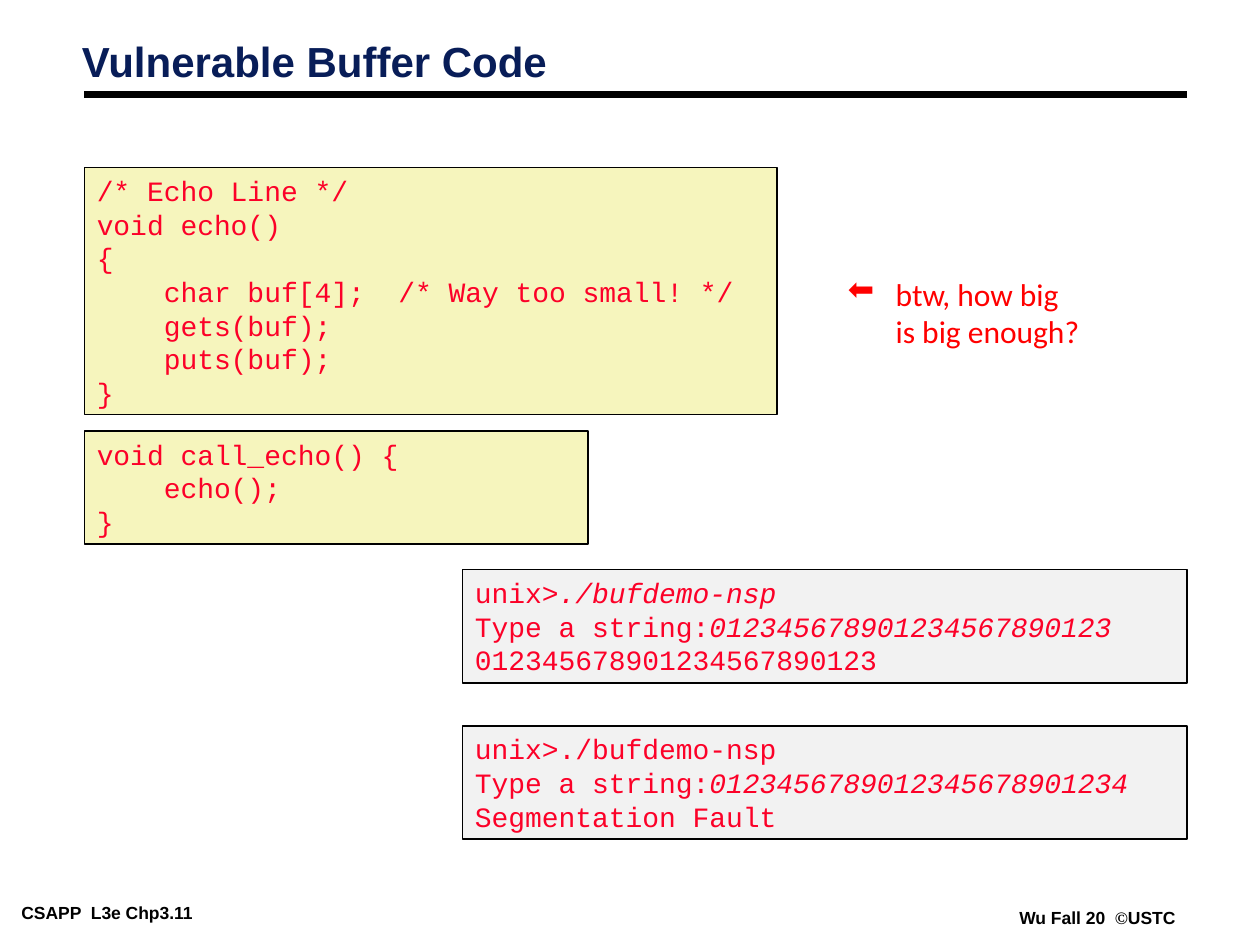
import pptx
import pptx.util
import pptx.dml.color
import pptx.enum.shapes
import pptx.enum.text
from dataclasses import dataclass
from lxml import etree
from pptx.oxml.ns import qn
from pptx.util import Inches


@dataclass(frozen=True)
class Theme:
    title_color: str = "081D58"
    code_color: str = "FC0128"
    note_color: str = "FF0000"
    ink: str = "000000"
    source_fill: str = "F6F5BD"
    terminal_fill: str = "F2F2F2"
    heading_font: str = "Arial"
    code_font: str = "Courier New"
    note_font: str = "Calibri"
    symbol_font: str = "Times New Roman"
    title_size: int = 24
    note_size: int = 18
    code_size: int = 16
    footer_size: int = 10


THEME = Theme()
LEFT, RIGHT = 0.67, 9.42  # content margins

ECHO_CODE = """/* Echo Line */
void echo()
{
    char buf[4];  /* Way too small! */
    gets(buf);
    puts(buf);
}"""
CALL_CODE = """void call_echo() {
    echo();
}"""


def rgb(color):
    return pptx.dml.color.RGBColor.from_string(color)


def add_run(paragraph, text, font, size, color, bold=False, italic=False):
    run = paragraph.add_run()
    run.text = text
    run.font.name = font
    run.font.size = pptx.util.Pt(size)
    run.font.color.rgb = rgb(color)
    run.font.bold = bold
    run.font.italic = italic


def set_frame(shape, horizontal, vertical):
    """Set insets, wrapping and top anchor, and return the text frame."""
    frame = shape.text_frame
    frame.margin_left = frame.margin_right = Inches(horizontal)
    frame.margin_top = frame.margin_bottom = Inches(vertical)
    frame.word_wrap = True
    frame.vertical_anchor = pptx.enum.text.MSO_ANCHOR.TOP
    return frame


def next_paragraph(frame, index):
    paragraph = frame.paragraphs[0] if index == 0 else frame.add_paragraph()
    paragraph.alignment = pptx.enum.text.PP_ALIGN.LEFT
    return paragraph


def add_title(slide, text):
    title = slide.shapes.title
    title.left, title.top = Inches(0.58), Inches(0.31)
    title.width, title.height = Inches(7.01), Inches(0.63)
    paragraph = next_paragraph(set_frame(title, 0.07, 0.03), 0)
    paragraph.line_spacing = 0.87
    add_run(paragraph, text, THEME.heading_font, THEME.title_size,
            THEME.title_color, bold=True)


def add_rule(slide, y):
    rule = slide.shapes.add_connector(
        pptx.enum.shapes.MSO_CONNECTOR.STRAIGHT,
        Inches(LEFT), Inches(y), Inches(RIGHT), Inches(y))
    rule.line.color.rgb = rgb(THEME.ink)
    rule.line.width = pptx.util.Pt(4.5)
    etree.SubElement(rule._element.spPr, qn("a:effectLst"))


def add_code_box(slide, left, top, width, height, fill, lines):
    """Each line is a list of (text, italic) pairs."""
    box = slide.shapes.add_shape(
        pptx.enum.shapes.MSO_SHAPE.RECTANGLE,
        Inches(left), Inches(top), Inches(width), Inches(height))
    box.shadow.inherit = False
    box.fill.solid()
    box.fill.fore_color.rgb = rgb(fill)
    box.line.color.rgb = rgb(THEME.ink)
    box.line.width = pptx.util.Pt(1)
    frame = set_frame(box, 0.1, 0.05)
    for index, parts in enumerate(lines):
        paragraph = next_paragraph(frame, index)
        for text, italic in parts:
            add_run(paragraph, text, THEME.code_font, THEME.code_size,
                    THEME.code_color, italic=italic)


def plain_lines(code):
    return [[(line, False)] for line in code.splitlines()]


def add_note(slide, lines):
    """Red remark whose first line carries an arrow bullet."""
    box = slide.shapes.add_textbox(
        Inches(6.63), Inches(2.13), Inches(2.78), Inches(0.7))
    frame = set_frame(box, 0.1, 0.05)
    indent = Inches(0.38)
    for index, text in enumerate(lines):
        paragraph = next_paragraph(frame, index)
        add_run(paragraph, text, THEME.note_font, THEME.note_size,
                THEME.note_color)
        properties = paragraph._p.get_or_add_pPr()
        properties.set("marL", str(indent))
        if index == 0:
            properties.set("indent", str(-indent))
            color = etree.SubElement(properties, qn("a:buClr"))
            etree.SubElement(color, qn("a:srgbClr"), val=THEME.note_color)
            etree.SubElement(properties, qn("a:buChar"), char="⬅")


def add_footer(slide, left, top, width, parts):
    box = slide.shapes.add_textbox(
        Inches(left), Inches(top), Inches(width), Inches(0.22))
    paragraph = next_paragraph(set_frame(box, 0.07, 0.03), 0)
    for text, font in parts:
        add_run(paragraph, text, font, THEME.footer_size, THEME.ink, bold=True)


def main():
    presentation = pptx.Presentation()
    presentation.slide_width = Inches(10)
    presentation.slide_height = Inches(7.5)
    slide = presentation.slides.add_slide(presentation.slide_layouts[5])

    # Heading
    add_rule(slide, 0.75)
    add_title(slide, "Vulnerable Buffer Code")

    # Source code
    add_code_box(slide, LEFT, 1.33, 5.5, 1.96, THEME.source_fill,
                 plain_lines(ECHO_CODE))
    add_code_box(slide, LEFT, 3.42, 4, 0.9, THEME.source_fill,
                 plain_lines(CALL_CODE))
    add_note(slide, ["btw, how big", "is big enough?"])

    # Terminal sessions, with typed input in italics
    digits = "0123456789" * 2 + "0123"
    sessions = [
        (4.52, [[("unix>", False), ("./bufdemo-nsp", True)],
                [("Type a string:", False), (digits, True)],
                [(digits, False)]]),
        (5.76, [[("unix>./bufdemo-nsp", False)],
                [("Type a string:", False), (digits + "4", True)],
                [("Segmentation Fault", False)]]),
    ]
    for top, lines in sessions:
        add_code_box(slide, 3.67, top, RIGHT - 3.67, 0.9,
                     THEME.terminal_fill, lines)

    # Footers
    add_footer(slide, 0.1, 7.13, 2.02, [("CSAPP  L3e Chp3.11", THEME.heading_font)])
    add_footer(slide, 8.02, 7.17, 1.38,
               [("Wu Fall 20  ", THEME.heading_font),
                ("©", THEME.symbol_font),
                ("USTC", THEME.heading_font)])

    presentation.save("out.pptx")


if __name__ == "__main__":
    main()
